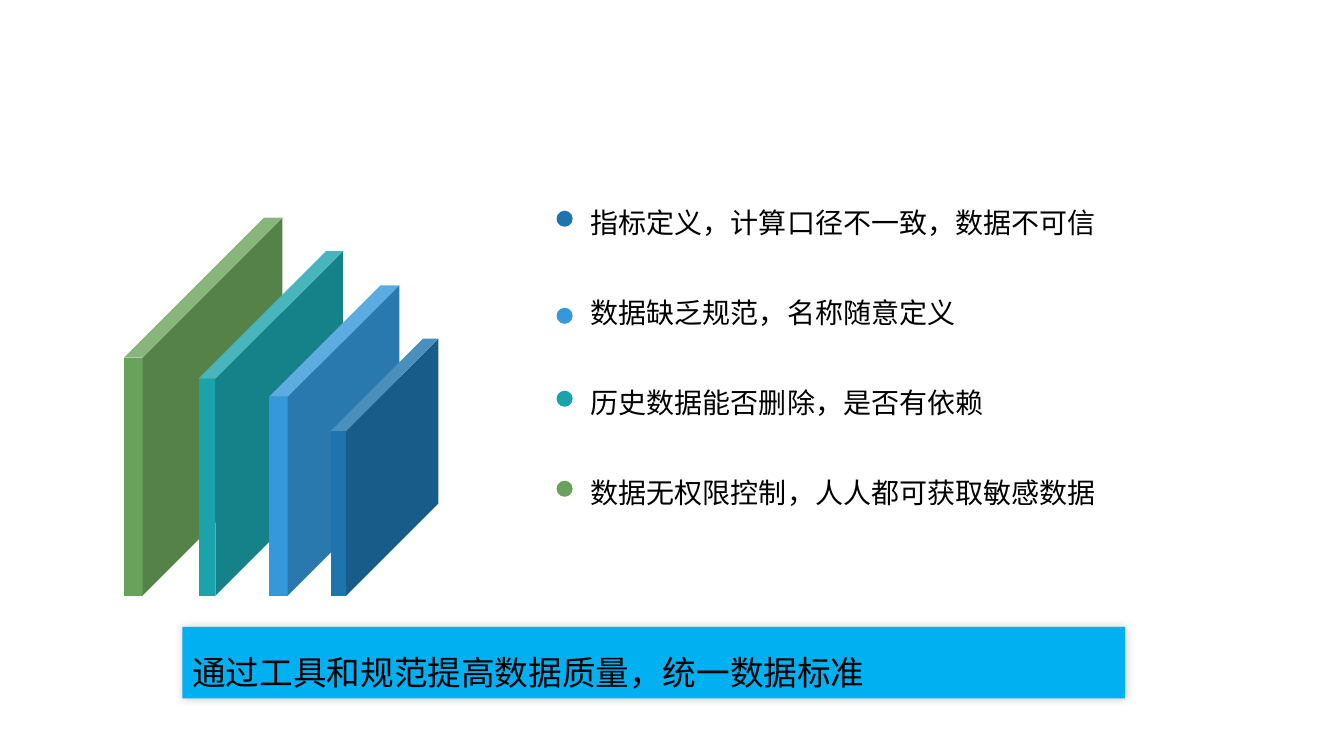
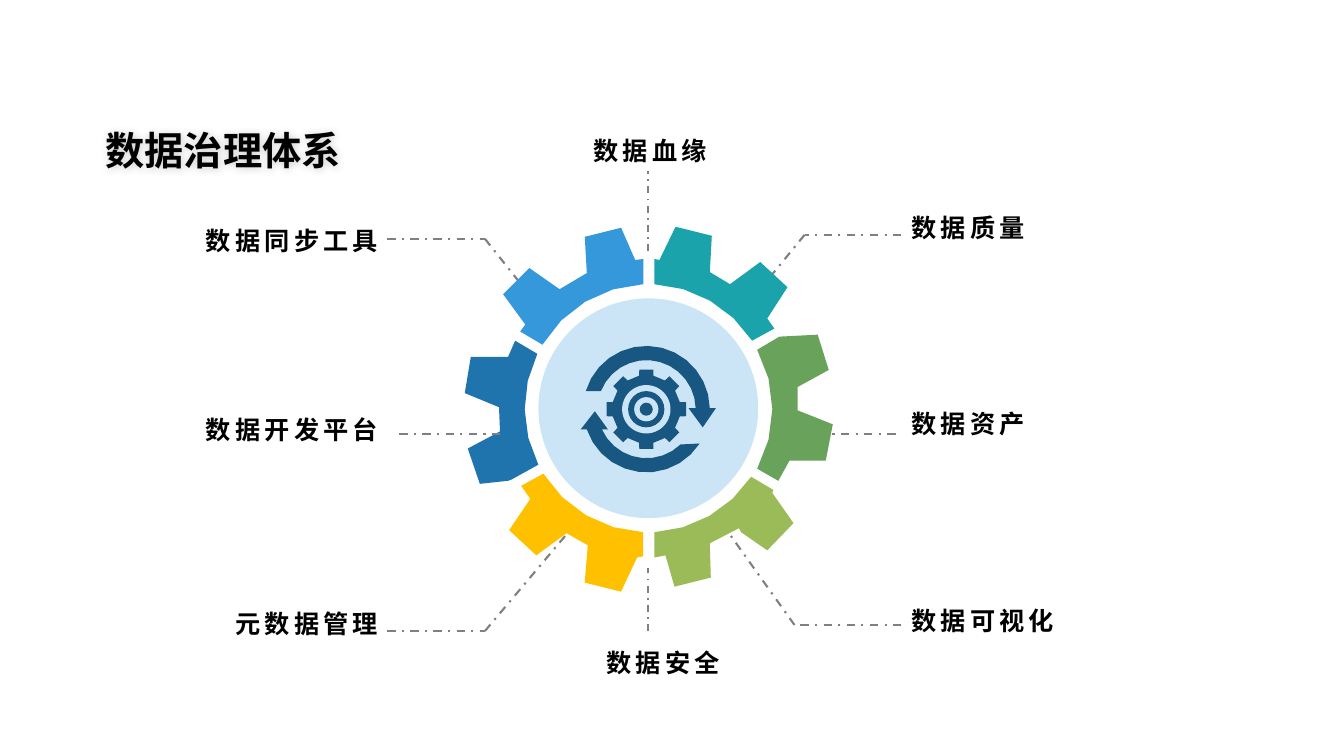
import math
from dataclasses import dataclass
from itertools import pairwise

from lxml import etree
from pptx import Presentation
from pptx.dml.color import RGBColor
from pptx.enum import dml, shapes, text
from pptx.oxml import ns
from pptx.util import Inches, Pt

GREEN, TEAL, SKY, BLUE = "69A35B", "1AA3AA", "3498DB", "1F74AD"
LIME, YELLOW, NAVY, PALE = "9BBB59", "FFC000", "175782", "CBE5F6"
BANNER, GRAY, BLACK = "00B0F0", "808080", "000000"
LATIN, CJK = "Calibri", "Noto Sans CJK SC"

CUBES = [(0, 37.5, 0.883, GREEN), (7.4, 34.2, 0.883, TEAL),
         (14.4, 30.8, 0.857, SKY), (20.5, 25.5, 0.857, BLUE)]
ISSUES = [("指标定义，计算口径不一致，数据不可信", BLUE, 1.2),
          ("数据缺乏规范，名称随意定义", SKY, 1.9),
          ("历史数据能否删除，是否有依赖", TEAL, 1.2),
          ("数据无权限控制，人人都可获取敏感数据", GREEN, 1.2)]

SECTORS = [
    (TEAL, [(6, -123), (6, -148), (11, -147), (27, -180), (63, -171), (61, -135),
            (81, -123), (111, -145), (138, -120), (118, -89), (125, -79), (103, -67)]),
    (SKY, [(-105, -63), (-127, -76), (-122, -83), (-144, -113), (-118, -139),
           (-88, -118), (-61, -134), (-63, -170), (-27, -179), (-13, -147),
           (-5, -148), (-5, -123)]),
    (GREEN, [(108, -58), (130, -71), (168, -73), (179, -38), (148, -21), (148, 2),
             (183, 16), (176, 52), (140, 52), (129, 72), (108, 60)]),
    (BLUE, [(-109, 56), (-136, 71), (-139, 72), (-167, 75), (-179, 40), (-147, 23),
            (-148, -1), (-182, -15), (-176, -51), (-139, -51), (-132, -67), (-110, -54)]),
    (LIME, [(102, 68), (124, 81), (123, 84), (144, 114), (118, 141), (92, 123),
            (90, 119), (61, 134), (62, 168), (26, 177), (17, 146), (6, 148), (6, 123)]),
    (YELLOW, [(-104, 65), (-126, 77), (-117, 90), (-138, 121), (-111, 146), (-81, 124),
              (-60, 136), (-63, 173), (-27, 182), (-11, 148), (-5, 147), (-5, 123)]),
]
CYCLE_ARROWS = [
    [(-60, -18), (63, -1), (69, -1), (56, 18), (42, -1), (49, -1), (-45, -18)],
    [(53, 34), (-59, 20), (-65, 20), (-51, 2), (-38, 20), (-44, 20), (34, 35)],
]
BACK_LEADERS = [
    [(89.4, 23.3), (79.8, 23.3), (76.2, 27.7)],
    [(81.1, 43.1), (89.4, 43.1)],
    [(89.4, 62), (78.8, 62), (72.3, 52.9)],
    [(38.4, 23.7), (48.1, 23.7), (51.6, 28.1)],
    [(38.4, 62.6), (48.1, 62.6), (56.2, 53)],
]
FRONT_LEADERS = [
    ([(39.6, 43.1), (49.7, 43.1)], 1.5),
    ([(64.3, 24.9), (64.3, 17)], 1.25),
    ([(64.3, 62.6), (64.3, 56.4)], 1.25),
]
RIGHT_LABELS = [("数据质量", 89.4, 19.4), ("数据资产", 89.4, 38.9), ("数据可视化", 89.4, 58.4)]
LEFT_LABELS = [("数据同步工具", 10.9, 20.7), ("数据开发平台", 10.9, 39.5),
               ("元数据管理", 10.9, 58.7), ("数据血缘", 43.5, 11.8), ("数据安全", 44.8, 62.6)]


@dataclass
class Grid:
    left: float
    top: float
    width: float
    height: float
    unit: int

    def point(self, x, y):
        return round(self.left + x * self.unit), round(self.top + y * self.unit)

    def cell(self, x, y, w, h):
        return *self.point(x, y), round(w * self.unit), round(h * self.unit)

    def area(self, x, y, w, h, unit=None):
        return Grid(*self.cell(x, y, w, h), unit or self.unit)


def rgb(color):
    return RGBColor.from_string(color)


def paint(sp, color):
    sp.shadow.inherit = False
    sp.fill.solid()
    sp.fill.fore_color.rgb = rgb(color)
    sp.line.fill.background()
    return sp


def add_preset(s, kind, box, color):
    return paint(s.shapes.add_shape(kind, *box), color)


def add_disc(s, grid, x, y, radius, color):
    box = grid.cell(x - radius, y - radius, 2 * radius, 2 * radius)
    add_preset(s, shapes.MSO_SHAPE.OVAL, box, color)


def add_glow(sp):
    sp.shadow.inherit = False
    effects = sp._element.spPr.find(ns.qn("a:effectLst"))
    shadow = etree.SubElement(effects, ns.qn("a:outerShdw"), blurRad=str(Pt(6)),
                              dist="0", dir="18900000", algn="bl", rotWithShape="0")
    tint = etree.SubElement(shadow, ns.qn("a:srgbClr"), val=BLACK)
    etree.SubElement(tint, ns.qn("a:alpha"), val="20000")


def write(sp, words, size, font, bold=False, right=False, leading=None, spacing=0):
    tf = sp.text_frame
    tf.word_wrap = True
    tf.text = words
    p = tf.paragraphs[0]
    p.alignment = text.PP_ALIGN.RIGHT if right else text.PP_ALIGN.LEFT
    p.line_spacing = leading
    r = p.runs[0]
    r.font.size, r.font.bold, r.font.name = Pt(size), bold, font
    r.font.color.rgb = rgb(BLACK)
    props = r._r.get_or_add_rPr()
    etree.SubElement(props, ns.qn("a:ea"), typeface=font)
    if spacing:
        props.set("spc", str(spacing * 100))
    return tf


def add_caption(s, box, words, anchor, **style):
    tf = write(s.shapes.add_textbox(*box), words, **style)
    tf.vertical_anchor = anchor
    tf.margin_bottom = 0


def write_heading(sp, words, **style):
    add_glow(sp)
    tf = write(sp, words, leading=1.5, **style)
    tf.vertical_anchor = text.MSO_ANCHOR.TOP
    tf.auto_size = text.MSO_AUTO_SIZE.SHAPE_TO_FIT_TEXT


def add_leader(s, grid, points, weight=1.5):
    for start, end in pairwise(points):
        line = s.shapes.add_connector(shapes.MSO_CONNECTOR.STRAIGHT,
                                      *grid.point(*start), *grid.point(*end))
        line.line.color.rgb = rgb(GRAY)
        line.line.width = Pt(weight)
        line.line.dash_style = dml.MSO_LINE.DASH_DOT
        etree.SubElement(line._element.spPr, ns.qn("a:effectLst"))


def bend(start, end, step=12):
    r1, r2 = math.hypot(*start), math.hypot(*end)
    a1 = math.atan2(start[1], start[0])
    sweep = math.remainder(math.atan2(end[1], end[0]) - a1, math.tau)
    count = int(abs(math.degrees(sweep)) // step)
    if abs(r1 - r2) > 4 or count < 2:
        return [end]
    polar = [(r1 + (r2 - r1) * i / count, a1 + sweep * i / count)
             for i in range(1, count)]
    return [(r * math.cos(a), r * math.sin(a)) for r, a in polar] + [end]


def add_outline(s, grid, center, corners, color):
    cx, cy = center
    curve = [p for a, b in pairwise(corners + corners[:1]) for p in bend(a, b)]
    points = [grid.point(cx + x, cy + y) for x, y in curve]
    builder = s.shapes.build_freeform(*points[-1], scale=1.0)
    builder.add_line_segments(points[:-1], close=True)
    paint(builder.convert_to_shape(), color)


def cog_corners(teeth=8):
    profile = [(-12, 34), (-10, 40), (10, 40), (12, 34)]
    polar = [(math.radians(k * 360 / teeth + turn), radius)
             for k in range(teeth) for turn, radius in profile]
    return [(radius * math.cos(a), radius * math.sin(a)) for a, radius in polar]


def draw_cubes(s, grid):
    for x, height, depth, color in CUBES:
        box = grid.cell(x, 37.5 - height, height * 0.419, height)
        add_preset(s, shapes.MSO_SHAPE.CUBE, box, color).adjustments[0] = depth


def draw_issues(s, grid):
    for i, (words, color, drop) in enumerate(ISSUES):
        y = i * 8.93
        add_disc(s, grid, 0.8, y + drop + 0.8, 0.8, color)
        add_caption(s, grid.cell(2.4, y, 53.9, 4), words, text.MSO_ANCHOR.BOTTOM,
                    size=20, font=LATIN)


def draw_cycle_icon(s, grid, center):
    for arrow in CYCLE_ARROWS:
        add_outline(s, grid, center, arrow, NAVY)
    add_outline(s, grid, center, cog_corners(), NAVY)
    for radius, color in [(24, PALE), (18, NAVY), (12, PALE), (6.5, NAVY)]:
        add_disc(s, grid, *center, radius, color)


def draw_gear(s, grid):
    add_disc(s, grid, 200, 200, 109, PALE)
    draw_cycle_icon(s, grid, (198, 201))
    for color, corners in SECTORS:
        add_outline(s, grid, (200, 200), corners, color)


def draw_labels(s, grid):
    sides = [(RIGHT_LABELS, 29.7, False), (LEFT_LABELS, 27.6, True)]
    for labels, width, right in sides:
        for words, x, y in labels:
            add_caption(s, grid.cell(x, y, width, 5.2), words, text.MSO_ANCHOR.MIDDLE,
                        size=18, font=CJK, bold=True, right=right, leading=1.2, spacing=3)


def build_issues_slide(s, grid):
    draw_cubes(s, grid.area(12.3, 21.6, 31.2, 37.5))
    draw_issues(s, grid.area(55.2, 19.7, 56.3, 30.8))
    banner = add_preset(s, shapes.MSO_SHAPE.RECTANGLE, grid.cell(18.1, 62.2, 93.5, 7.1), BANNER)
    write_heading(banner, "通过工具和规范提高数据质量，统一数据标准", size=24, font=LATIN)


def build_system_slide(s, grid):
    for points in BACK_LEADERS:
        add_leader(s, grid, points)
    draw_gear(s, grid.area(44.3, 20.5, 40, 40, Inches(0.01)))
    for points, weight in FRONT_LEADERS:
        add_leader(s, grid, points, weight)
    draw_labels(s, grid)
    title = s.shapes.add_textbox(*grid.cell(9.5, 9.7, 55.2, 8.1))
    write_heading(title, "数据治理体系", size=28, font=CJK, bold=True)


def main():
    prs = Presentation()
    prs.slide_width, prs.slide_height = Inches(13.33), Inches(7.5)
    grid = Grid(0, 0, prs.slide_width, prs.slide_height, Inches(0.1))
    for build in (build_issues_slide, build_system_slide):
        build(prs.slides.add_slide(prs.slide_layouts[6]), grid)
    prs.save("out.pptx")


if __name__ == "__main__":
    main()
